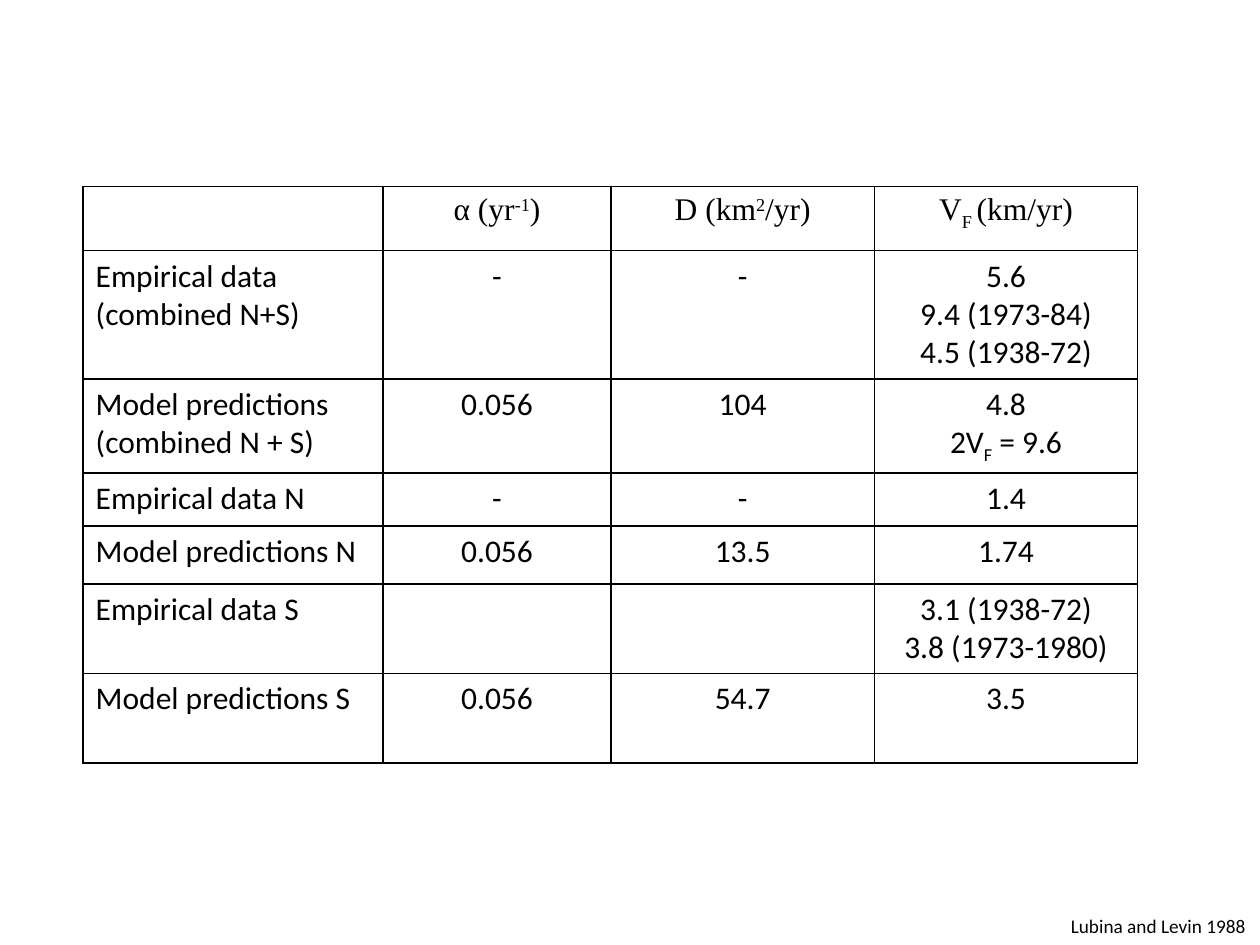
from lxml import etree
from pptx import Presentation
from pptx.dml.color import RGBColor
from pptx.enum.text import MSO_AUTO_SIZE, PP_ALIGN
from pptx.oxml.ns import qn
from pptx.util import Inches, Pt

LEFT, CENTER = PP_ALIGN.LEFT, PP_ALIGN.CENTER
FIT_SHAPE = MSO_AUTO_SIZE.SHAPE_TO_FIT_TEXT
SUPER, SUB = 30000, -25000

THEME = {
    "ink": "000000",
    "heading_font": "Times New Roman",
    "body_font": "Calibri",
    "table_size": 18,
    "citation_size": 11,
    "rule_width": 1,
}

HEADINGS = [
    [],
    [["α (yr", ("-1", SUPER), ")"]],
    [["D (km", ("2", SUPER), "/yr)"]],
    [["V", ("F ", SUB), "(km/yr)"]],
]
ESTIMATES = [
    [["Empirical data (combined N+S)"], ["-"], ["-"],
     ["5.6", "9.4 (1973-84)", "4.5 (1938-72)"]],
    [["Model predictions (combined N + S)"], ["0.056"], ["104"],
     ["4.8", ["2V", ("F", SUB), " = 9.6"]]],
    [["Empirical data N"], ["-"], ["-"], ["1.4"]],
    [["Model predictions N"], ["0.056"], ["13.5"], ["1.74"]],
    [["Empirical data S"], [], [], ["3.1 (1938-72)", "3.8 (1973-1980)"]],
    [["Model predictions S"], ["0.056"], ["54.7"], ["3.5"]],
]
CITATION = "Lubina and Levin 1988"

SLIDE_WIDTH, SLIDE_HEIGHT = 10, 7.5
TABLE_LEFT, TABLE_TOP = 0.66, 1.48
COLUMN_WIDTHS = [2.38, 1.81, 2.09, 2.09]
ROW_HEIGHTS = [0.51, 1.02, 0.74, 0.42, 0.46, 0.71, 0.71]
CITATION_WIDTH, CITATION_HEIGHT = 1.6, 0.29


def style_font(font, family, size):
    formats = {"name": family, "size": Pt(size), "bold": False}
    for attribute, value in formats.items():
        setattr(font, attribute, value)
    font.color.rgb = RGBColor.from_string(THEME["ink"])


def write_line(paragraph, line, family, size, alignment):
    paragraph.alignment = alignment
    for piece in [line] if isinstance(line, str) else line:
        words, baseline = (piece, 0) if isinstance(piece, str) else piece
        run = paragraph.add_run()
        run.text = words
        style_font(run.font, family, size)
        if baseline:
            run.font._element.set("baseline", str(baseline))


def rule_cell(cell):
    properties = cell._tc.get_or_add_tcPr()
    for side in ("lnL", "lnR", "lnT", "lnB"):
        rule = etree.SubElement(properties, qn(f"a:{side}"), w=str(Pt(THEME["rule_width"])))
        ink = etree.SubElement(rule, qn("a:solidFill"))
        etree.SubElement(ink, qn("a:srgbClr"), val=THEME["ink"])
    cell.fill.background()


def add_estimates(slide):
    rows = [HEADINGS, *ESTIMATES]
    table = slide.shapes.add_table(
        len(rows), len(COLUMN_WIDTHS), Inches(TABLE_LEFT), Inches(TABLE_TOP),
        Inches(sum(COLUMN_WIDTHS)), Inches(sum(ROW_HEIGHTS))).table
    for flag in ("first_row", "horz_banding"):
        setattr(table, flag, False)
    for column, width in zip(table.columns, COLUMN_WIDTHS):
        column.width = Inches(width)
    for row, height in zip(table.rows, ROW_HEIGHTS):
        row.height = Inches(height)
    for r, entries in enumerate(rows):
        family = THEME["body_font" if r else "heading_font"]
        for c, lines in enumerate(entries):
            cell = table.cell(r, c)
            rule_cell(cell)
            for i, line in enumerate(lines):
                frame = cell.text_frame
                paragraph = frame.add_paragraph() if i else frame.paragraphs[0]
                write_line(paragraph, line, family, THEME["table_size"],
                           CENTER if c else LEFT)


def add_citation(slide):
    frame = slide.shapes.add_textbox(
        Inches(SLIDE_WIDTH - CITATION_WIDTH), Inches(SLIDE_HEIGHT - CITATION_HEIGHT),
        Inches(CITATION_WIDTH), Inches(CITATION_HEIGHT)).text_frame
    for attribute, value in {"word_wrap": False, "auto_size": FIT_SHAPE}.items():
        setattr(frame, attribute, value)
    write_line(frame.paragraphs[0], CITATION, THEME["body_font"],
               THEME["citation_size"], LEFT)


def main():
    deck = Presentation()
    deck.slide_width, deck.slide_height = Inches(SLIDE_WIDTH), Inches(SLIDE_HEIGHT)
    slide = deck.slides.add_slide(deck.slide_layouts[6])
    add_estimates(slide)
    add_citation(slide)
    deck.save("out.pptx")


if __name__ == "__main__":
    main()
